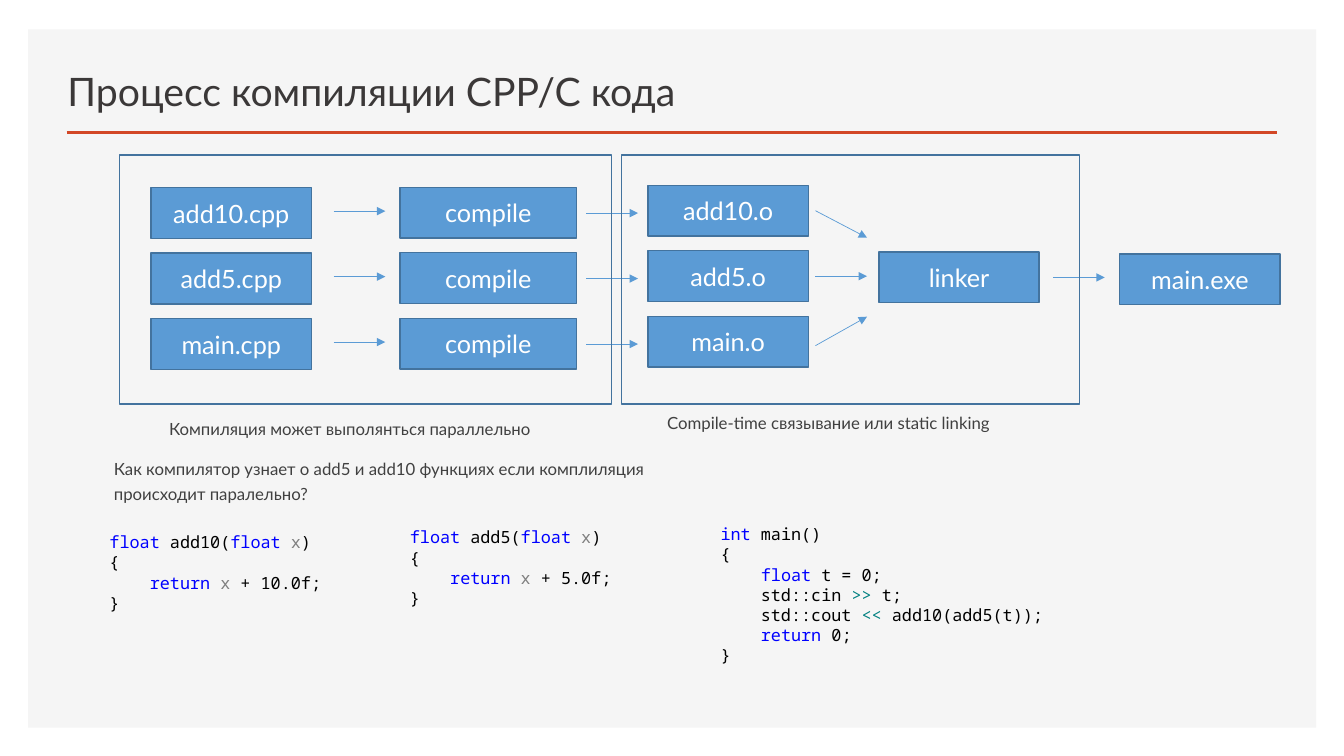
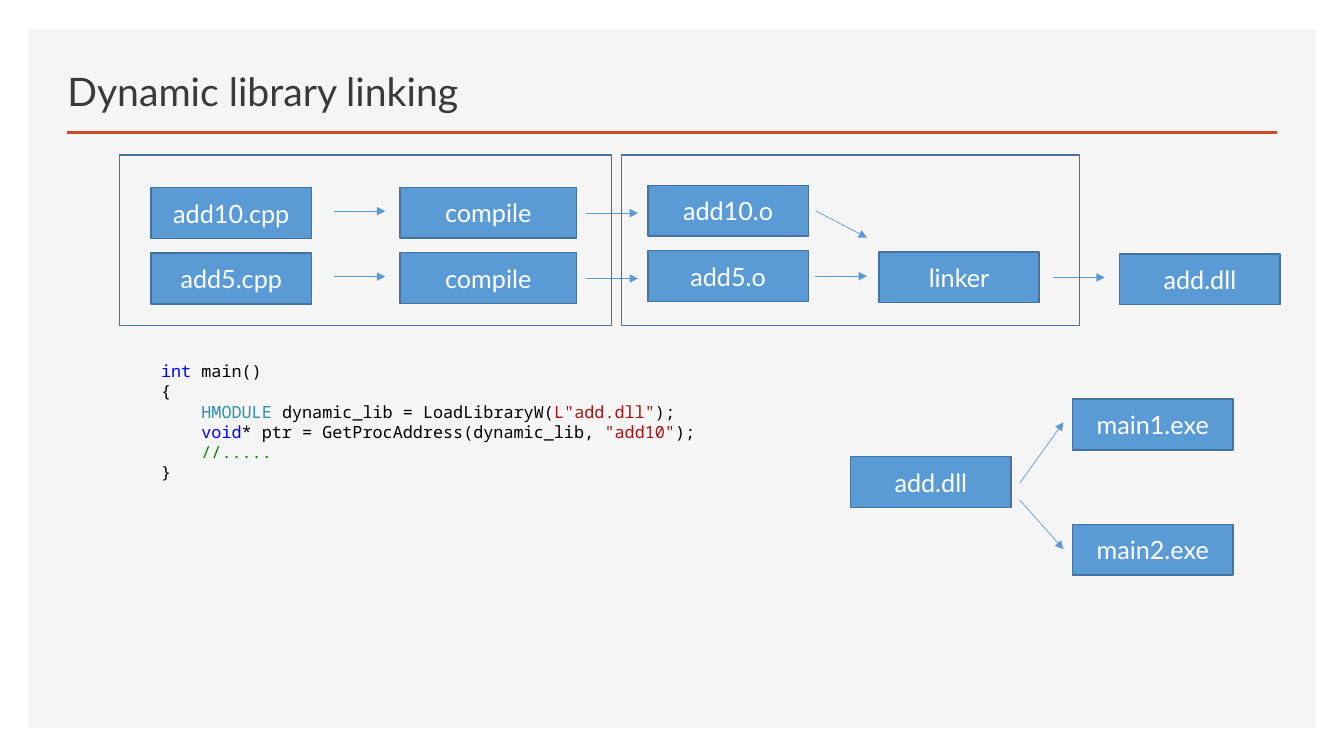
"""Builds two slides on static and dynamic linking of C++ code."""
from lxml.etree import SubElement
from pptx import Presentation
from pptx.dml.color import RGBColor
from pptx.enum.shapes import MSO_CONNECTOR, MSO_SHAPE
from pptx.enum.text import MSO_ANCHOR, MSO_AUTO_SIZE, PP_ALIGN
from pptx.oxml.ns import qn
from pptx.util import Cm, Pt

PANEL = RGBColor(0xF5, 0xF5, 0xF5)
ACCENT = RGBColor(0xD2, 0x47, 0x26)
TITLE = RGBColor(0x3B, 0x38, 0x38)
BODY = RGBColor(0x40, 0x40, 0x40)
WHITE = RGBColor(0xFF, 0xFF, 0xFF)
BLUE = RGBColor(0x5B, 0x9B, 0xD5)
EDGE = RGBColor(0x43, 0x73, 0x9E)
BLACK = RGBColor(0x00, 0x00, 0x00)
KEYWORD = RGBColor(0x00, 0x00, 0xFF)
PARAM = RGBColor(0x80, 0x80, 0x80)
OPERATOR = RGBColor(0x00, 0x80, 0x80)
TYPE = RGBColor(0x2B, 0x91, 0xAF)
STRING = RGBColor(0xA3, 0x15, 0x15)
COMMENT = RGBColor(0x00, 0x80, 0x00)

SANS, MONO = "Lato", "Noto Sans Mono"
BOX_W, BOX_H = 4.04, 1.28
ROW_STEP = 1.65
ARROW_W = 1.3


def style_font(font, name, size, color):
    font.name, font.size = name, Pt(size)
    font.color.rgb = color


def add_rect(s, x, y, w, h, fill=None, edge=None):
    sp = s.shapes.add_shape(MSO_SHAPE.RECTANGLE, Cm(x), Cm(y), Cm(w), Cm(h))
    sp.shadow.inherit = False
    if fill is None:
        sp.fill.background()
    else:
        sp.fill.solid()
        sp.fill.fore_color.rgb = fill
    if edge is None:
        sp.line.fill.background()
    else:
        sp.line.color.rgb = edge
        sp.line.width = Pt(1)
    return sp


def add_box(s, x, y, text, w=BOX_W):
    tf = add_rect(s, x, y, w, BOX_H, BLUE, EDGE).text_frame
    tf.text = text
    tf.vertical_anchor = MSO_ANCHOR.MIDDLE
    p = tf.paragraphs[0]
    p.alignment = PP_ALIGN.CENTER
    style_font(p.runs[0].font, SANS, 18, WHITE)


def add_line(s, x1, y1, x2, y2, color, width):
    line = s.shapes.add_connector(
        MSO_CONNECTOR.STRAIGHT, Cm(x1), Cm(y1), Cm(x2), Cm(y2))
    line.line.color.rgb = color
    line.line.width = Pt(width)
    SubElement(line._element.spPr, qn("a:effectLst"))
    return line


def add_arrow(s, x1, y1, x2, y2):
    line = add_line(s, x1, y1, x2, y2, BLUE, 0.5)
    SubElement(line.line._get_or_add_ln(), qn("a:tailEnd"), type="triangle")


def add_text_box(s, x, y, w, h):
    tf = s.shapes.add_textbox(Cm(x), Cm(y), Cm(w), Cm(h)).text_frame
    tf.word_wrap = True
    return tf


def add_caption(s, x, y, w, h, text):
    tf = add_text_box(s, x, y, w, h)
    tf.text = text
    p = tf.paragraphs[0]
    p.line_spacing = Pt(18)
    style_font(p.runs[0].font, SANS, 12, BODY)


def add_code(s, x, y, w, h, lines):
    tf = add_text_box(s, x, y, w, h)
    tf.auto_size = MSO_AUTO_SIZE.SHAPE_TO_FIT_TEXT
    for i, line in enumerate(lines):
        p = tf.add_paragraph() if i else tf.paragraphs[0]
        for text, color in line:
            r = p.add_run()
            r.text = text
            style_font(r.font, MONO, 12, color)


def adder_code(name, value):
    return [
        [("float", KEYWORD), (f" {name}(", BLACK), ("float ", KEYWORD),
         ("x", PARAM), (")", BLACK)],
        [("{", BLACK)],
        [("    ", BLACK), ("return ", KEYWORD), ("x", PARAM),
         (f" + {value};", BLACK)],
        [("}", BLACK)],
    ]


def main_code(*body):
    return [[("int", KEYWORD), (" main()", BLACK)], [("{", BLACK)],
            *([("    ", BLACK), *line] for line in body), [("}", BLACK)]]


def add_titled_slide(prs, title):
    s = prs.slides.add_slide(prs.slide_layouts[6])
    add_rect(s, 0.71, 0.74, 32.46, 17.6, PANEL)
    add_line(s, 1.68, 3.33, 32.18, 3.33, ACCENT, 2)
    tf = add_text_box(s, 1.45, 1.24, 19.1, 1.78)
    tf.text = title
    tf.vertical_anchor = MSO_ANCHOR.BOTTOM
    style_font(tf.paragraphs[0].runs[0].font, SANS, 28, TITLE)
    return s


def add_pipeline(s, units, output, frame_h):
    link_arrows = [(5.31, 5.99), (6.96, 6.96), (8.71, 7.98)]
    for i, (unit, (start, end)) in enumerate(zip(units, link_arrows)):
        dy = i * ROW_STEP
        add_box(s, 3.81, 4.73 + dy, f"{unit}.cpp")
        add_arrow(s, 8.41, 5.32 + dy, 8.41 + ARROW_W, 5.32 + dy)
        add_box(s, 10.08, 4.72 + dy, "compile", 4.45)
        add_arrow(s, 14.78, 5.37 + dy, 14.78 + ARROW_W, 5.37 + dy)
        add_box(s, 16.33, 4.67 + dy, f"{unit}.o")
        add_arrow(s, 20.55, start, 20.55 + ARROW_W, end)
    add_box(s, 22.15, 6.35, "linker")
    add_arrow(s, 26.54, 6.99, 26.54 + ARROW_W, 6.99)
    add_box(s, 28.22, 6.4, output)
    for x, w in ((3.02, 12.4), (15.67, 11.53)):
        add_rect(s, x, 3.91, w, frame_h, edge=EDGE)


def build_static_slide(prs):
    s = add_titled_slide(prs, "Процесс компиляции CPP/C кода")
    add_pipeline(s, ["add10", "add5", "main"], "main.exe", 6.27)
    add_caption(s, 4.01, 10.31, 9.75, 1.45,
                "Компиляция может выполянться параллельно")
    add_caption(s, 16.56, 10.16, 9.75, 1.45,
                "Compile-time связывание или static linking")
    add_caption(s, 2.62, 11.3, 15.72, 2.13,
                "Как компилятор узнает о add5 и add10 функциях если "
                "комплиляция происходит паралельно?")
    add_code(s, 2.51, 13.28, 7.37, 2.31, adder_code("add10", "10.0f"))
    add_code(s, 10.08, 13.16, 6.53, 2.31, adder_code("add5", "5.0f"))
    add_code(s, 17.91, 13.08, 9.3, 3.84, main_code(
        [("float", KEYWORD), (" t = 0;", BLACK)],
        [("std::cin ", BLACK), (">>", OPERATOR), (" t;", BLACK)],
        [("std::cout ", BLACK), ("<<", OPERATOR),
         (" add10(add5(t));", BLACK)],
        [("return", KEYWORD), (" 0;", BLACK)]))


def build_dynamic_slide(prs):
    s = add_titled_slide(prs, "Dynamic library linking")
    add_pipeline(s, ["add10", "add5"], "add.dll", 4.29)
    add_code(s, 3.81, 8.97, 16.94, 3.33, main_code(
        [("HMODULE ", TYPE), ("dynamic_lib = LoadLibraryW(", BLACK),
         ('L"add.dll"', STRING), (");", BLACK)],
        [("void", KEYWORD), ("* ptr = GetProcAddress(dynamic_lib, ", BLACK),
         ('"add10"', STRING), (");", BLACK)],
        [("//.....", COMMENT)]))
    add_box(s, 21.44, 11.51, "add.dll")
    for name, y, start, end in (("main1.exe", 10.06, 12.17, 10.64),
                                ("main2.exe", 13.21, 12.6, 13.84)):
        add_box(s, 27.03, y, name)
        add_arrow(s, 25.7, start, 26.8, end)


def main():
    prs = Presentation()
    prs.slide_width, prs.slide_height = Cm(33.87), Cm(19.05)
    build_static_slide(prs)
    build_dynamic_slide(prs)
    prs.save("out.pptx")


if __name__ == "__main__":
    main()
